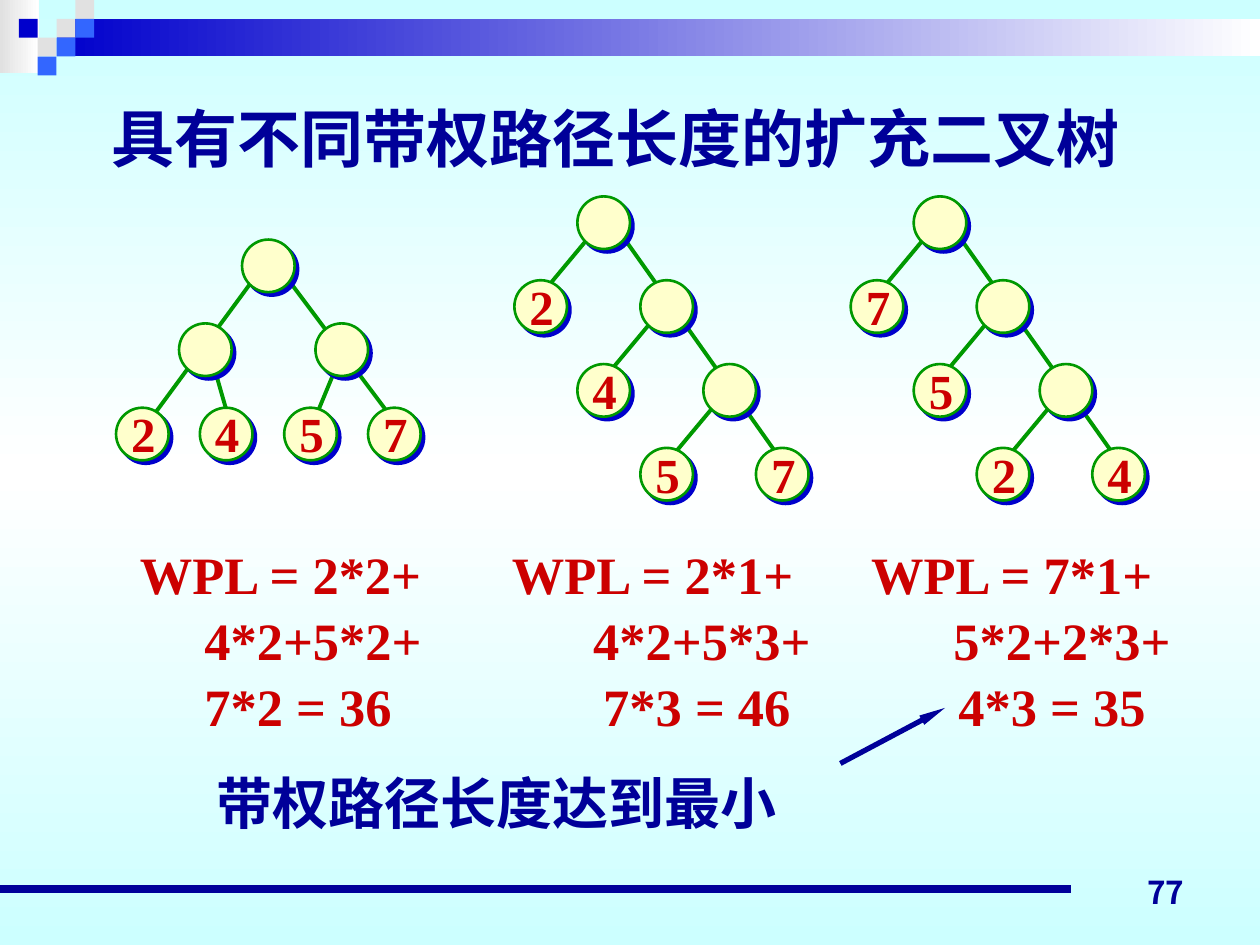
from copy import deepcopy
from dataclasses import dataclass

from pptx import Presentation
from pptx.dml.color import RGBColor
from pptx.enum.shapes import MSO_CONNECTOR, MSO_SHAPE
from pptx.enum.text import MSO_ANCHOR, MSO_AUTO_SIZE, PP_ALIGN
from pptx.oxml.ns import qn
from pptx.oxml.xmlchemy import OxmlElement
from pptx.util import Cm, Pt

STRAIGHT = MSO_CONNECTOR.STRAIGHT
RECTANGLE, OVAL = MSO_SHAPE.RECTANGLE, MSO_SHAPE.OVAL
TOP, MIDDLE, BOTTOM = MSO_ANCHOR.TOP, MSO_ANCHOR.MIDDLE, MSO_ANCHOR.BOTTOM
LEFT, CENTER, RIGHT = PP_ALIGN.LEFT, PP_ALIGN.CENTER, PP_ALIGN.RIGHT
GROW = MSO_AUTO_SIZE.SHAPE_TO_FIT_TEXT


@dataclass(frozen=True)
class Theme:
    navy: str = "000099"
    blue: str = "0000CC"
    sky: str = "3366FF"
    gray: str = "E1E1E1"
    white: str = "FFFFFF"
    pale: str = "CCFFFF"
    cream: str = "FFFFCC"
    green: str = "009900"
    red: str = "CC0000"
    latin: str = "Times New Roman"
    chinese: str = "Noto Sans CJK SC"
    number_font: str = "Noto Sans CJK JP"
    title_size: int = 36
    note_size: int = 32
    formula_size: int = 30
    weight_size: int = 28
    number_size: int = 18


THEME = Theme()
NODE = 1.06            # node diameter, cm
STEP_X, STEP_Y = 1.27, 1.69

# Node offsets from the root, and edges as (start, end) offsets
BALANCED_NODES = [(0, 0), (-1.27, 1.69), (1.48, 1.69)]
BALANCED_LEAVES = [(-2.54, 3.39), (-0.85, 3.39), (0.85, 3.39), (2.54, 3.39)]
BALANCED_EDGES = [
    ((0.64, 0.42), (3.18, 3.81)),
    ((1.91, 2.54), (1.48, 3.58)),
    ((-0.64, 2.31), (-0.21, 3.81)),
    ((0.2, 0.84), (-2.13, 4.01)),
]
SPINE = [(level * STEP_X, level * STEP_Y) for level in range(3)]
SPINE_LEAVES = [(x - STEP_X, y + STEP_Y) for x, y in SPINE] + [(3.6, 3 * STEP_Y)]
SPINE_EDGES = [((0.64, 0.42), (4.24, 5.5))] + [
    ((x + 0.21, y + 0.85), (x - 0.85, y + 2.12)) for x, y in SPINE
]

# Root position, nodes, leaves, edges, weights
TREES = [
    ((4.88, 4.83), BALANCED_NODES, BALANCED_LEAVES, BALANCED_EDGES, "2457"),
    ((11.64, 3.96), SPINE, SPINE_LEAVES, SPINE_EDGES, "2457"),
    ((18.42, 3.96), SPINE, SPINE_LEAVES, SPINE_EDGES, "7524"),
]

# Text with its tab stops, cm from the text edge
FORMULAS = [
    ("WPL = 2*2+\tWPL = 2*1+\tWPL = 7*1+", (7.5, 14.74)),
    ("\t4*2+5*2+\t4*2+5*3+\t5*2+2*3+", (1.3, 9.14, 16.4)),
    ("\t7*2 = 36\t7*3 = 46\t4*3 = 35", (1.3, 9.34, 16.5)),
]


def rgb(color):
    return RGBColor.from_string(color)


def add_element(parent, tag, **attributes):
    element = OxmlElement(tag)
    for name, value in attributes.items():
        element.set(name, str(value))
    parent.append(element)
    return element


def set_gradient(fill, element, colors, angle):
    fill.gradient()
    fill.gradient_angle = angle
    stop_list = next(element.iter(qn("a:gsLst")))
    while len(stop_list) < len(colors):
        stop_list.append(deepcopy(stop_list[0]))
    for index, (stop, color) in enumerate(zip(fill.gradient_stops, colors)):
        stop.color.rgb = rgb(color)
        stop.position = index / (len(colors) - 1)


def format_frame(shape, **values):
    for name, value in values.items():
        setattr(shape.text_frame, name, value)


def write(paragraph, text, size, color, font=THEME.latin, align=LEFT):
    paragraph.alignment = align
    run = paragraph.add_run()
    run.text = text
    for name, value in {"size": Pt(size), "bold": True, "name": font}.items():
        setattr(run.font, name, value)
    run.font.color.rgb = rgb(color)
    east_asian = THEME.chinese if font == THEME.latin else font
    add_element(run.font._element, "a:ea", typeface=east_asian)


def add_block(shapes, box, colors):
    block = shapes.add_shape(RECTANGLE, *map(Cm, box))
    block.shadow.inherit = False
    block.line.fill.background()
    if len(colors) > 1:
        set_gradient(block.fill, block.element, colors, 0)
    else:
        block.fill.solid()
        block.fill.fore_color.rgb = rgb(colors[0])


def add_line(shapes, start, end, color, width):
    line = shapes.add_connector(STRAIGHT, *map(Cm, (*start, *end)))
    line.line.color.rgb = rgb(color)
    line.line.width = Pt(width)
    add_element(line.element.spPr, "a:effectLst")
    return line


def add_node(shapes, x, y):
    node = shapes.add_shape(OVAL, Cm(x), Cm(y), Cm(NODE), Cm(NODE))
    node.fill.solid()
    node.fill.fore_color.rgb = rgb(THEME.cream)
    node.line.color.rgb = rgb(THEME.green)
    node.line.width = Pt(1.5)
    effects = add_element(node.element.spPr, "a:effectLst")
    shadow = add_element(effects, "a:outerShdw", dist=Pt(2.8), dir=45 * 60000,
                         algn="ctr", rotWithShape=0)
    add_element(shadow, "a:srgbClr", val=THEME.blue)


def add_weight(shapes, x, y, weight):
    label = shapes.add_textbox(Cm(x + 0.04), Cm(y - 0.21), Cm(1.02), Cm(1.45))
    format_frame(label, vertical_anchor=MIDDLE, word_wrap=False, auto_size=GROW)
    write(label.text_frame.paragraphs[0], weight, THEME.weight_size, THEME.red,
          align=CENTER)


def add_tree(slide, root, nodes, leaves, edges, weights):
    shapes = slide.shapes.add_group_shape().shapes

    def place(offset):
        return root[0] + offset[0], root[1] + offset[1]

    for start, end in edges:
        add_line(shapes, place(start), place(end), THEME.green, 2.25)
    for offset in nodes + leaves:
        add_node(shapes, *place(offset))
    for offset, weight in zip(leaves, weights):
        add_weight(shapes, *place(offset), weight)


def add_decoration(slide):
    shapes = slide.shapes
    set_gradient(slide.background.fill, slide.element,
                 (THEME.pale, THEME.white, THEME.pale), 90)
    add_block(shapes, (0, 0, 0.78, 1.47), (THEME.gray, THEME.white))
    add_block(shapes, (1.14, 0.38, 24.26, 0.76), (THEME.blue, THEME.white))
    # Squares as (column, row) on a small grid
    squares = {
        THEME.gray: [(3, 1), (4, 0), (2, 2)],
        THEME.sky: [(4, 1), (3, 2), (2, 3)],
        THEME.blue: [(1, 1)],
    }
    unit = 0.38
    for color, cells in squares.items():
        for column, row in cells:
            add_block(shapes, (column * unit, row * unit, unit, unit), (color,))
    add_line(shapes, (0, 17.93), (21.59, 17.93), THEME.navy, 4.5)


def add_title(slide):
    title = slide.shapes.title
    box = {"left": 2, "top": 1.88, "width": 21.17, "height": 1.78}
    for name, value in box.items():
        setattr(title, name, Cm(value))
    format_frame(title, vertical_anchor=TOP, word_wrap=True, auto_size=GROW)
    write(title.text_frame.paragraphs[0], "具有不同带权路径长度的扩充二叉树",
          THEME.title_size, THEME.navy)


def add_formulas(slide):
    box = slide.shapes.add_textbox(Cm(2.57), Cm(10.74), Cm(21.59), Cm(6.17))
    format_frame(box, word_wrap=True, auto_size=GROW)
    frame = box.text_frame
    for index, (text, stops) in enumerate(FORMULAS):
        paragraph = frame.add_paragraph() if index else frame.paragraphs[0]
        paragraph.line_spacing = 1.05
        tabs = add_element(paragraph._p.get_or_add_pPr(), "a:tabLst")
        for stop in stops:
            add_element(tabs, "a:tab", pos=Cm(stop), algn="l")
        write(paragraph, text, THEME.formula_size, THEME.red)
    note = frame.add_paragraph()
    note.space_before = Pt(18)
    note._p.get_or_add_pPr().set("marL", str(Cm(1.55)))
    write(note, "带权路径长度达到最小", THEME.note_size, THEME.navy, THEME.chinese)


def add_slide_number(slide):
    box = slide.shapes.add_textbox(Cm(18.21), Cm(17.22), Cm(5.92), Cm(1.27))
    format_frame(box, vertical_anchor=BOTTOM, word_wrap=True)
    write(box.text_frame.paragraphs[0], "77", THEME.number_size, THEME.navy,
          THEME.number_font, RIGHT)


def main():
    presentation = Presentation()
    presentation.slide_width, presentation.slide_height = Cm(25.4), Cm(19.05)
    slide = presentation.slides.add_slide(presentation.slide_layouts[5])
    add_decoration(slide)
    add_slide_number(slide)
    add_title(slide)
    add_formulas(slide)
    for tree in TREES:
        add_tree(slide, *tree)
    # Arrow to the smallest path length
    arrow = add_line(slide.shapes, (16.94, 15.39), (19.05, 14.27), THEME.navy, 3)
    add_element(arrow.line._get_or_add_ln(), "a:tailEnd", type="triangle",
                w="sm", len="lg")
    presentation.save("out.pptx")


if __name__ == "__main__":
    main()
